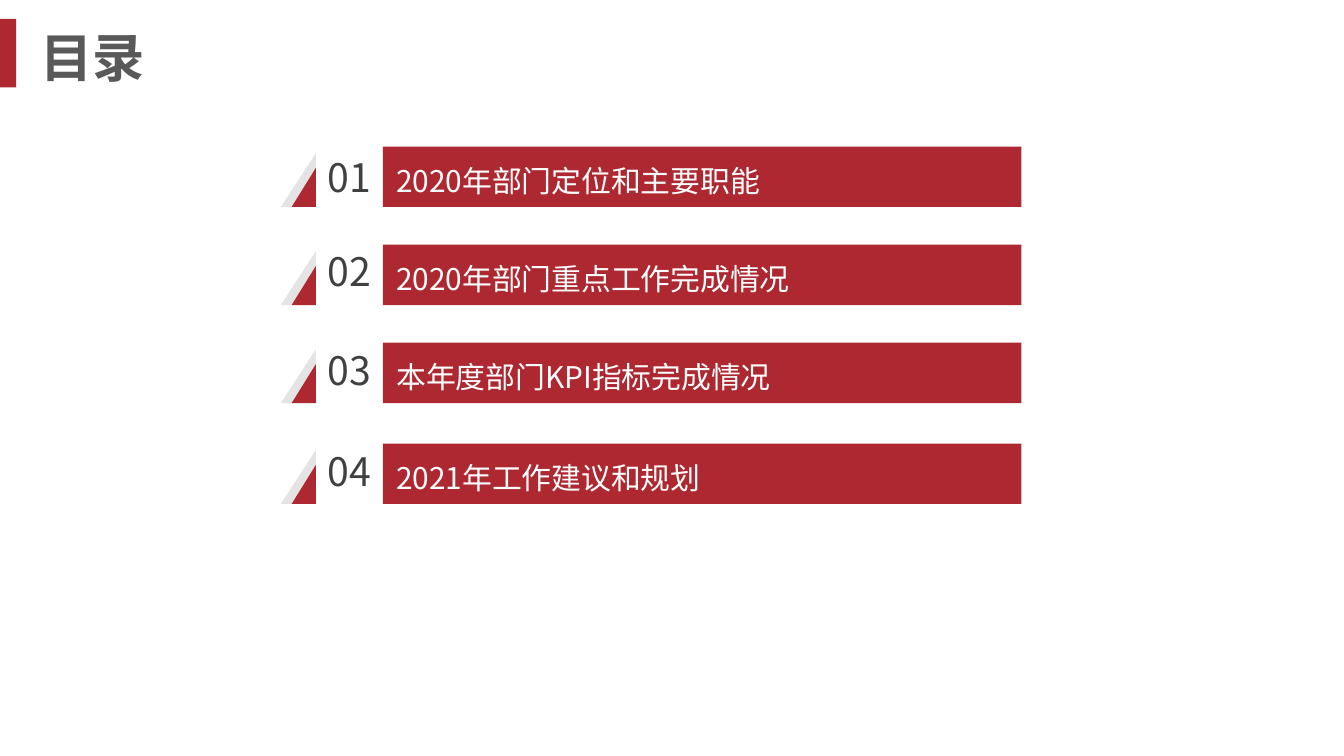
"""Build a contents slide with four numbered bars."""
from dataclasses import dataclass

from lxml.etree import SubElement
from pptx import Presentation
from pptx.dml.color import RGBColor
from pptx.enum.shapes import MSO_SHAPE
from pptx.enum.text import MSO_ANCHOR, MSO_AUTO_SIZE, PP_ALIGN
from pptx.oxml.ns import qn
from pptx.util import Inches, Pt

TITLE = "目录"
ITEMS = [
    ("01", "2020年部门定位和主要职能", 1.09, 1.09),
    ("02", "2020年部门重点工作完成情况", 1.82, 1.79),
    ("03", "本年度部门KPI指标完成情况", 2.55, 2.53),
    ("04", "2021年工作建议和规划", 3.30, 3.28),
]


@dataclass(frozen=True)
class Theme:
    face: str = "Noto Sans CJK SC"
    red: str = "AD2830"
    pale: str = "E4E4E4"
    white: str = "FFFFFF"
    dark: str = "404040"
    gray: str = "595959"
    head: int = 28
    digit: int = 21
    label: int = 16


THEME = Theme()
EDGE, LEFT, RIGHT, TALL = 2.35, 2.85, 7.60, 0.45


def paint(shape, color):
    shape.shadow.inherit = False
    shape.fill.solid()
    shape.fill.fore_color.rgb = RGBColor.from_string(color)
    shape.line.fill.background()


def place(shape, *box):
    shape.left, shape.top, shape.width, shape.height = map(Inches, box)


def write(shape, text, size, color, align, anchor, bold=False):
    frame = shape.text_frame
    frame.word_wrap = True
    frame.auto_size = MSO_AUTO_SIZE.NONE
    frame.vertical_anchor = anchor
    para = frame.paragraphs[0]
    para.text = text
    para.alignment = align
    font = para.font
    font.size, font.bold = Pt(size), bold
    font.color.rgb = RGBColor.from_string(color)
    font.name = THEME.face
    mark = para._p.pPr.find(qn("a:defRPr"))
    SubElement(mark, qn("a:ea")).set("typeface", THEME.face)
    return frame, para


def draw(shapes, color, *paths):
    paths = [[(Inches(x), Inches(y)) for x, y in path] for path in paths]
    pen = shapes.build_freeform(*paths[0][0])
    for step, path in enumerate(paths):
        if step:
            pen.move_to(*path[0])
        pen.add_line_segments(path[1:], close=True)
    paint(pen.convert_to_shape(), color)


def wedge(wide, high, base):
    return [(EDGE, base - high), (EDGE, base), (EDGE - wide, base)]


def add_row(shapes, digit, label, top, rise):
    base = top + TALL
    bar = [(LEFT, top), (RIGHT, top), (RIGHT, base), (LEFT, base)]
    draw(shapes, THEME.pale, wedge(0.26, 0.40, base))
    draw(shapes, THEME.red, wedge(0.18, 0.29, base), bar)

    box = shapes.add_textbox(*map(Inches, (EDGE, rise, LEFT - EDGE, TALL)))
    frame, _ = write(box, digit, THEME.digit, THEME.dark,
                     PP_ALIGN.CENTER, MSO_ANCHOR.MIDDLE)
    frame.margin_left = frame.margin_right = 0
    frame.margin_top = frame.margin_bottom = 0

    box = shapes.add_textbox(*map(Inches, (LEFT, top, RIGHT - LEFT, TALL)))
    _, para = write(box, label, THEME.label, THEME.white,
                    PP_ALIGN.LEFT, MSO_ANCHOR.MIDDLE)
    para.line_spacing = 1.2
    para.space_before = Pt(3)


def main():
    deck = Presentation()
    deck.slide_width = Inches(10)
    deck.slide_height = deck.slide_width * 9 // 16
    shapes = deck.slides.add_slide(deck.slide_layouts[5]).shapes

    place(shapes.title, 0.2, 0.14, 8.27, 0.51)
    write(shapes.title, TITLE, THEME.head, THEME.gray,
          PP_ALIGN.LEFT, MSO_ANCHOR.TOP, bold=True)
    tab = shapes.add_shape(MSO_SHAPE.RECTANGLE,
                           *map(Inches, (0, 0.14, 0.12, 0.51)))
    paint(tab, THEME.red)

    for item in ITEMS:
        add_row(shapes, *item)
    deck.save("out.pptx")


if __name__ == "__main__":
    main()
